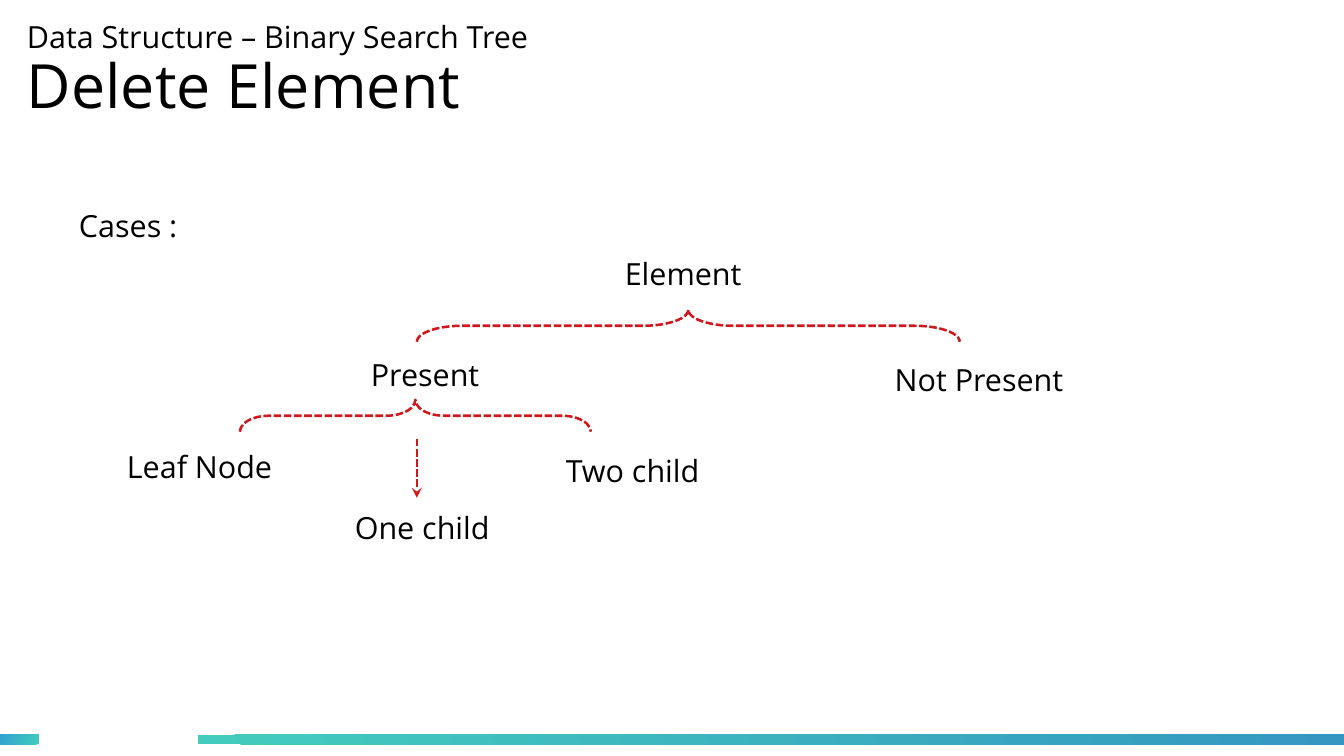
import pptx
import pptx.dml.color
import pptx.enum.dml
import pptx.enum.shapes
import pptx.enum.text
import pptx.oxml.ns
import pptx.util
import lxml.etree

RGBColor = pptx.dml.color.RGBColor
BLACK = RGBColor(0x00, 0x00, 0x00)
RED = RGBColor(0xCE, 0x18, 0x1E)
TEAL = RGBColor(0x43, 0xCC, 0xBD)
SKY = RGBColor(0x30, 0xA2, 0xD2)
BLUE = RGBColor(0x34, 0x97, 0xC1)


class TreeSlide:
    font_name = "Open Sans"
    body_size = 18
    line_width = 1.5
    brace_depth = 32

    def __init__(self, slide):
        self.slide = slide

    @staticmethod
    def px(length):
        return pptx.util.Emu(round(length * 914400 / 122))

    def box(self, left, top, width, height):
        return [self.px(length) for length in (left, top, width, height)]

    def style_line(self, line):
        line.color.rgb = RED
        line.width = pptx.util.Pt(self.line_width)
        line.dash_style = pptx.enum.dml.MSO_LINE.SQUARE_DOT

    def style_font(self, paragraph, size):
        paragraph.font.name = self.font_name
        paragraph.font.size = pptx.util.Pt(size)
        paragraph.font.color.rgb = BLACK

    def bar(self, left, top, width, height, end_color, angle):
        shape = self.slide.shapes.add_shape(
            pptx.enum.shapes.MSO_SHAPE.RECTANGLE, *self.box(left, top, width, height))
        shape.shadow.inherit = False
        shape.line.fill.background()
        shape.fill.gradient()
        shape.fill.gradient_angle = angle
        for stop, color in zip(shape.fill.gradient_stops, (TEAL, end_color)):
            stop.color.rgb = color

    def title(self, left, top, width, height, lines):
        shape = self.slide.shapes.add_textbox(*self.box(left, top, width, height))
        frame = shape.text_frame
        frame.word_wrap = True
        frame.vertical_anchor = pptx.enum.text.MSO_ANCHOR.MIDDLE
        frame.margin_left = frame.margin_right = frame.margin_top = frame.margin_bottom = 0
        frame.text = "\n".join(text for text, size in lines)
        for paragraph, (text, size) in zip(frame.paragraphs, lines):
            paragraph.line_spacing = 0.9
            self.style_font(paragraph, size)

    def label(self, text, left, top, width, height=54):
        shape = self.slide.shapes.add_textbox(*self.box(left, top, width, height))
        shape.text_frame.word_wrap = True
        shape.text_frame.text = text
        self.style_font(shape.text_frame.paragraphs[0], self.body_size)

    def brace(self, left, right, top, curve):
        span = right - left
        depth = self.brace_depth
        shape = self.slide.shapes.add_shape(
            pptx.enum.shapes.MSO_SHAPE.LEFT_BRACE,
            *self.box((left + right - depth) / 2, top + (depth - span) / 2, depth, span))
        shape.rotation = 90
        shape.adjustments[0] = curve / depth
        shape.shadow.inherit = False
        shape.fill.background()
        self.style_line(shape.line)

    def arrow(self, x, top, bottom):
        connector = self.slide.shapes.add_connector(
            pptx.enum.shapes.MSO_CONNECTOR.STRAIGHT,
            *self.box(x, top, x, bottom))
        self.style_line(connector.line)
        qn = pptx.oxml.ns.qn
        line = connector.line._get_or_add_ln()
        lxml.etree.SubElement(line, qn("a:tailEnd"), type="stealth")
        lxml.etree.SubElement(connector._element.spPr, qn("a:effectLst"))


def main():
    presentation = pptx.Presentation()
    presentation.slide_width = pptx.util.Inches(11.02)
    presentation.slide_height = pptx.util.Inches(6.2)
    tree = TreeSlide(presentation.slides.add_slide(presentation.slide_layouts[6]))

    tree.bar(0, 735, 39, 10, SKY, 150)
    tree.bar(198, 735, 1147, 10, BLUE, 30)
    tree.title(27, 10, 937, 124, [
        ("Data Structure – Binary Search Tree", 18),
        ("Delete Element", 36),
    ])
    for text, left, top, width in (
        ("Cases :", 67, 201, 260),
        ("Element", 613, 249, 150),
        ("Present", 359, 350, 138),
        ("Not Present", 883, 355, 201),
        ("Leaf Node", 115, 442, 205),
        ("One child", 343, 503, 185),
        ("Two child", 554, 446, 185),
    ):
        tree.label(text, left, top, width)
    tree.brace(417, 960, 310, 45)
    tree.brace(240, 591, 400, 29)
    tree.arrow(417, 439, 498)
    presentation.save("out.pptx")


if __name__ == "__main__":
    main()
